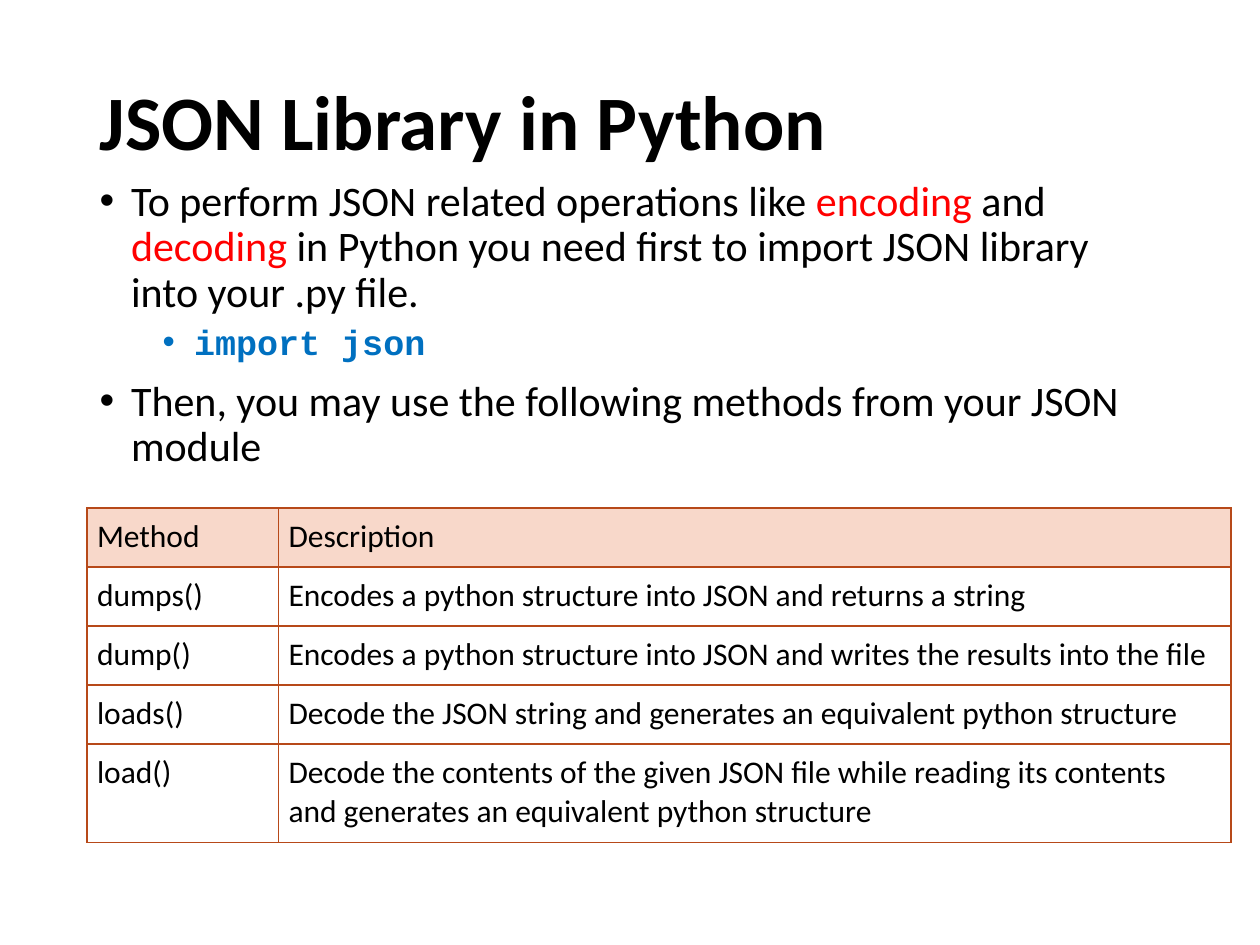
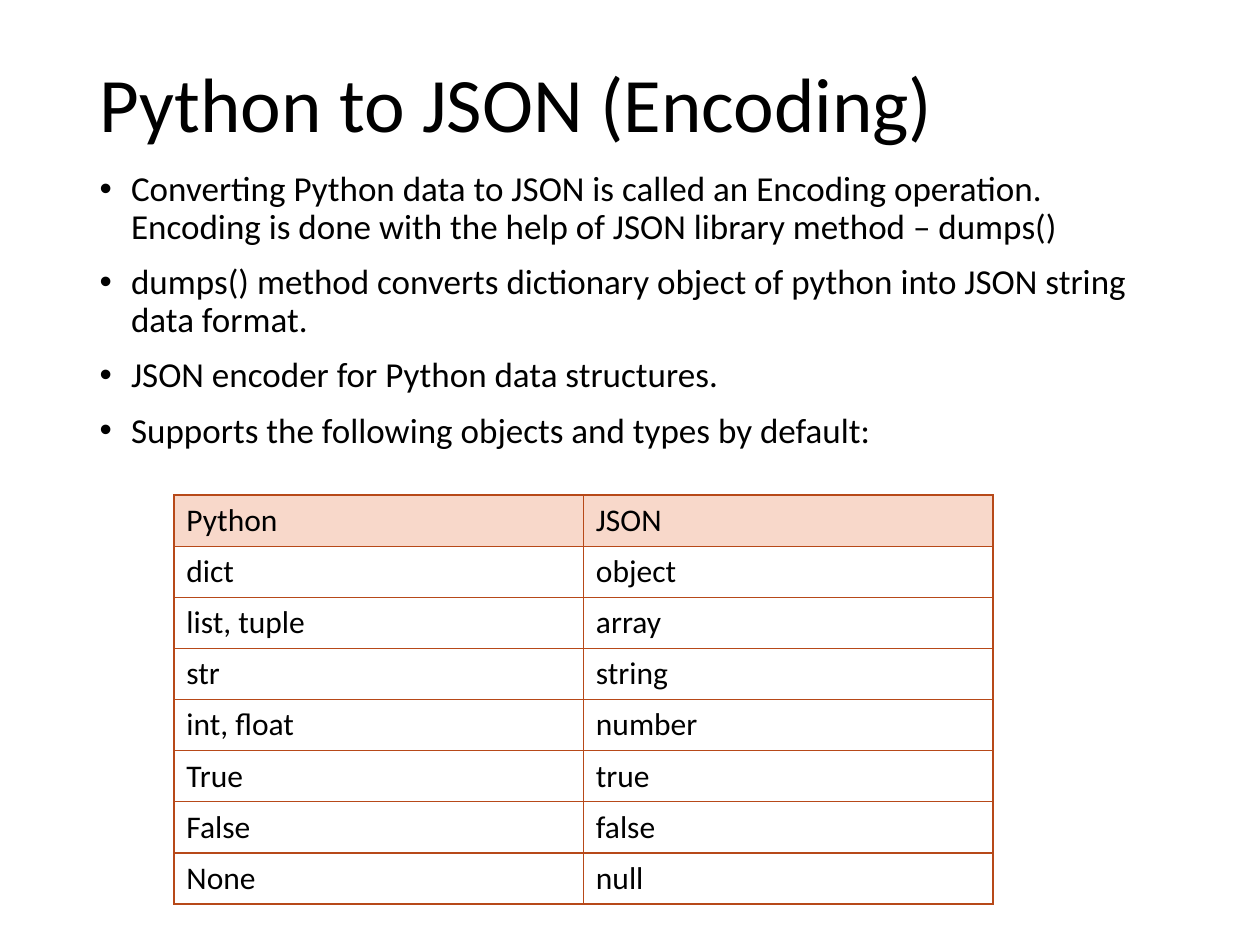
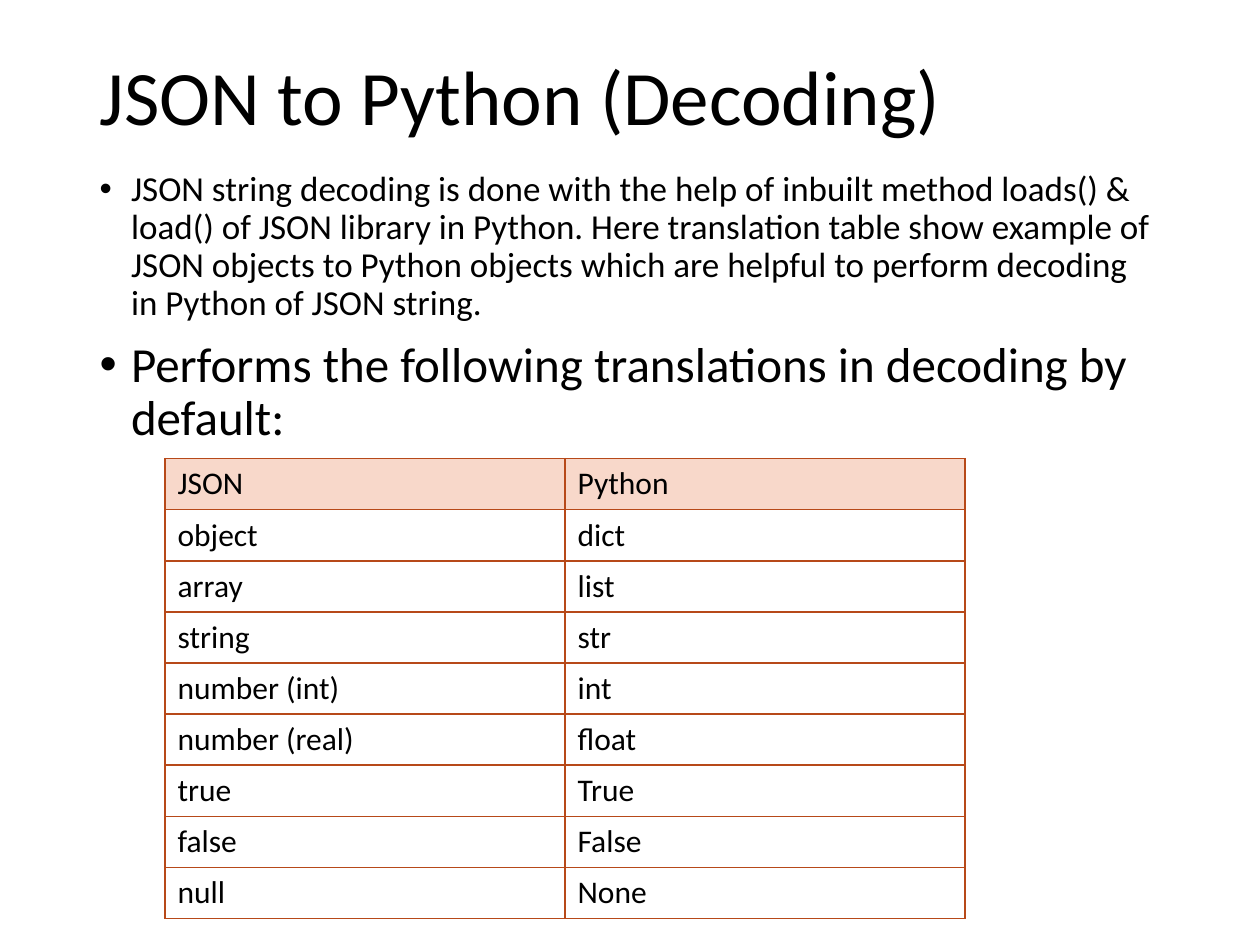
from lxml.etree import SubElement
from pptx import Presentation
from pptx.dml.color import RGBColor
from pptx.enum.text import MSO_ANCHOR, MSO_AUTO_SIZE, PP_ALIGN
from pptx.oxml import parse_xml
from pptx.oxml.ns import nsdecls, qn
from pptx.util import Inches, Pt

WIDE, HIGH = Inches(10), Inches(7.5)
BLACK, RED, BLUE = "000000", "FF0000", "0070C0"
EDGE, HEAD = "B74919", "F8D8CA"
SANS, MONO = "Calibri", "Courier New"
LEFT, SPAN = 6.9, 86.2


def tint(code):
    """Turn a hex string into a colour."""
    return RGBColor.from_string(code)


def scale(box):
    """Turn percent shares of the slide into lengths."""
    return [round(part * side / 100) for part, side in zip(box, (WIDE, HIGH, WIDE, HIGH))]


def write(para, text, size, color=BLACK, face=SANS, bold=False):
    """Add one formatted run."""
    run = para.add_run()
    run.text = text
    font = run.font
    font.size, font.name, font.bold = Pt(size), face, bold
    font.color.rgb = tint(color)


def seat(shape, box, anchor):
    """Place a placeholder and return its text frame."""
    shape.left, shape.top, shape.width, shape.height = scale(box)
    frame = shape.text_frame
    frame.word_wrap = True
    frame.auto_size = MSO_AUTO_SIZE.NONE
    frame.vertical_anchor = anchor
    return frame


def title(slide, box, text, bold=False):
    """Fill the title placeholder."""
    para = seat(slide.shapes.title, box, MSO_ANCHOR.MIDDLE).paragraphs[0]
    para.alignment = PP_ALIGN.LEFT
    para.line_spacing = 0.9
    write(para, text, 44, bold=bold)


def bullet(para, level):
    """Give a paragraph its level, spacing and bullet."""
    para.level = level
    para.line_spacing = 0.9
    para.space_before = Pt(5 if level else 10)
    props = para._p.get_or_add_pPr()
    props.set("marL", str(Inches(0.25 + 0.5 * level)))
    props.set("indent", str(Inches(-0.25)))
    SubElement(props, qn("a:buFont"), typeface="Arial")
    SubElement(props, qn("a:buChar"), char="•")


def body(slide, box, items):
    """Fill the body placeholder with (level, size, runs) items."""
    frame = seat(slide.placeholders[1], box, MSO_ANCHOR.TOP)
    for spot, (level, size, runs) in enumerate(items):
        para = frame.add_paragraph() if spot else frame.paragraphs[0]
        bullet(para, level)
        for text, *style in runs:
            write(para, text, size, *style)


def border(cell):
    """Draw the four edges of a cell."""
    props = cell._tc.get_or_add_tcPr()
    for spot, side in enumerate("LRTB"):
        props.insert(spot, parse_xml(
            f'<a:ln{side} {nsdecls("a")} w="{Pt(1)}"><a:solidFill>'
            f'<a:srgbClr val="{EDGE}"/></a:solidFill></a:ln{side}>'))


def table(slide, box, rows, cols=(1, 1), tall=None, inset=(0.1, 0.05),
          anchor=MSO_ANCHOR.MIDDLE, align=PP_ALIGN.JUSTIFY):
    """Build a ruled table with a tinted head; cols and tall are weights."""
    left, top, width, height = scale(box)
    tall = tall or [1] * len(rows)
    grid = slide.shapes.add_table(len(rows), len(cols), left, top, width, height).table
    grid.first_row = grid.horz_banding = False
    for col, part in zip(grid.columns, cols):
        col.width = round(width * part / sum(cols))
    for row, part in zip(grid.rows, tall):
        row.height = round(height * part / sum(tall))
    for y, row in enumerate(rows):
        for x, text in enumerate(row):
            cell = grid.cell(y, x)
            cell.margin_left = cell.margin_right = Inches(inset[0])
            cell.margin_top = cell.margin_bottom = Inches(inset[1])
            cell.vertical_anchor = anchor
            if y:
                cell.fill.background()
            else:
                cell.fill.solid()
                cell.fill.fore_color.rgb = tint(HEAD)
            border(cell)
            para = cell.text_frame.paragraphs[0]
            para.alignment = align
            write(para, text, 18)


def library(slide):
    """Slide on the library and its methods."""
    title(slide, (LEFT, 3.6, SPAN, 19.33), "JSON Library in Python", True)
    body(slide, (LEFT, 18.4, SPAN, 22.4), [
        (0, 24, [("To perform JSON related operations like ",), ("encoding", RED),
                 (" and ",), ("decoding", RED),
                 (" in Python you need first to import JSON library into your .py file.",)]),
        (1, 20, [("import json", BLUE, MONO, True)]),
        (0, 24, [("Then, you may use the following methods from your JSON module",)]),
    ])
    table(slide, (LEFT, 53.73, 90.8, 35.4), [
        ("Method", "Description"),
        ("dumps()", "Encodes a python structure into JSON and returns a string"),
        ("dump()", "Encodes a python structure into JSON and writes the results into the file"),
        ("loads()", "Decode the JSON string and generates an equivalent python structure"),
        ("load()", "Decode the contents of the given JSON file while reading its contents "
                   "and generates an equivalent python structure"),
    ], (1.52, 7.56), (3, 3, 3, 3, 5), (0.08, 0.08), MSO_ANCHOR.TOP, PP_ALIGN.LEFT)


def encode(slide):
    """Slide on encoding."""
    title(slide, (LEFT, 5.33, SPAN, 12.13), "Python to JSON (Encoding)")
    lines = (
        "Converting Python data to JSON is called an Encoding operation. "
        "Encoding is done with the help of JSON library method – dumps()",
        "dumps() method converts dictionary object of python into JSON string data format.",
        "JSON encoder for Python data structures.",
        "Supports the following objects and types by default:",
    )
    body(slide, (LEFT, 17.47, SPAN, 30.93), [(0, 20, [(line,)]) for line in lines])
    table(slide, (13.8, 52.4, 65, 42.67), [
        ("Python", "JSON"), ("dict", "object"), ("list, tuple", "array"),
        ("str", "string"), ("int, float", "number"), ("True", "true"),
        ("False", "false"), ("None", "null"),
    ])


def decode(slide):
    """Slide on decoding."""
    title(slide, (LEFT, 0.93, SPAN, 19.33), "JSON to Python (Decoding)")
    body(slide, (LEFT, 17.47, SPAN, 30.4), [
        (0, 20, [("JSON string decoding is done with the help of inbuilt method loads() & "
                  "load() of JSON library in Python. Here translation table show example of "
                  "JSON objects to Python objects which are helpful to perform decoding "
                  "in Python of JSON string.",)]),
        (0, 28, [("Performs the following translations in decoding by default:",)]),
    ])
    table(slide, (13.1, 48.53, 63.5, 48), [
        ("JSON", "Python"), ("object", "dict"), ("array", "list"), ("string", "str"),
        ("number (int)", "int"), ("number (real)", "float"), ("true", "True"),
        ("false", "False"), ("null", "None"),
    ])


deck = Presentation()
deck.slide_width, deck.slide_height = WIDE, HIGH
for build in (library, encode, decode):
    build(deck.slides.add_slide(deck.slide_layouts[1]))
deck.save("out.pptx")
